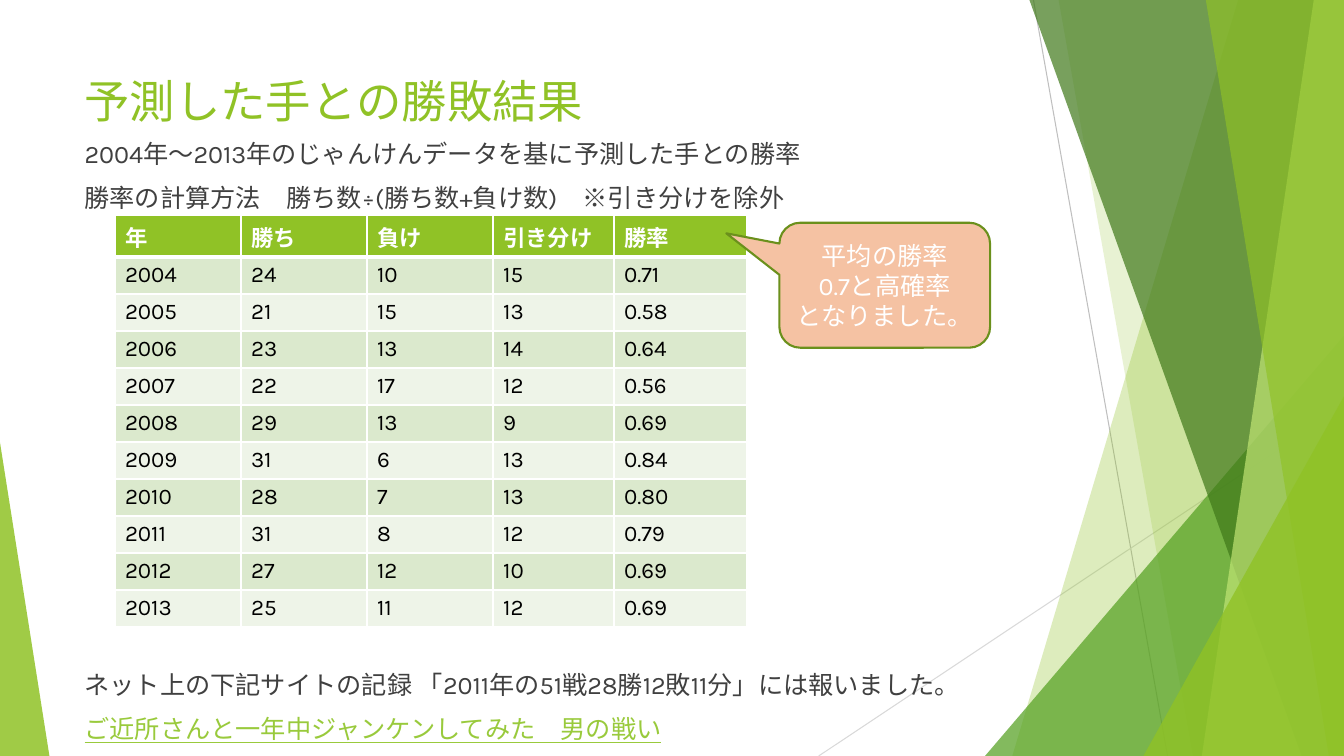
from lxml import etree
from pptx import Presentation
from pptx.dml.color import RGBColor
from pptx.enum import shapes, text
from pptx.oxml import ns
from pptx.util import Inches, Pt

FONT = "Karla"
WIDTH, HEIGHT = 13.33, 7.5
COLORS = {
    "green": "90C226", "leaf": "54A021", "forest": "3F7819", "lime": "C0E474",
    "link": "99CA3C", "outline": "6B901C", "peach": "F5C2A3",
    "band_dark": "DBE9CD", "band_light": "EEF4E8",
    "text": "404040", "black": "000000", "white": "FFFFFF",
    "grey": "BFBFBF", "pale_grey": "D9D9D9",
}
HEADER = ["年", "勝ち", "負け", "引き分け", "勝率"]
RESULTS = [
    (2004, 24, 10, 15, "0.71"),
    (2005, 21, 15, 13, "0.58"),
    (2006, 23, 13, 14, "0.64"),
    (2007, 22, 17, 12, "0.56"),
    (2008, 29, 13, 9, "0.69"),
    (2009, 31, 6, 13, "0.84"),
    (2010, 28, 7, 13, "0.80"),
    (2011, 31, 8, 12, "0.79"),
    (2012, 27, 12, 10, "0.69"),
    (2013, 25, 11, 12, "0.69"),
]


def rgb(name):
    return RGBColor.from_string(COLORS[name])


def inches(*values):
    return [Inches(v) for v in values]


def style_runs(p, size, color, bold=False):
    for r in p.runs:
        r.font.name = FONT
        r.font.size = Pt(size)
        r.font.bold = bold
        r.font.color.rgb = rgb(color)


def fill_facet(sp, color, opacity):
    """Give a background facet a see-through fill, with opacity in percent."""
    sp.shadow.inherit = False
    sp.line.fill.background()
    sp.fill.solid()
    sp.fill.fore_color.rgb = rgb(color)
    clr = sp.fill._xPr.find(".//" + ns.qn("a:srgbClr"))
    etree.SubElement(clr, ns.qn("a:alpha"), val=str(opacity * 1000))


def add_thin_line(s, start, end, color):
    line = s.shapes.add_connector(
        shapes.MSO_CONNECTOR.STRAIGHT, *inches(*start, *end))
    line.line.color.rgb = rgb(color)
    line.line.width = Pt(0.75)
    etree.SubElement(line._element.spPr, ns.qn("a:effectLst"))


def add_band(s, top_x, bottom_x, color, opacity):
    """Fill from a slanted left edge to the right edge of the slide."""
    builder = s.shapes.build_freeform(*inches(top_x, 0))
    corners = [(WIDTH, 0), (WIDTH, HEIGHT), (bottom_x, HEIGHT)]
    builder.add_line_segments([inches(*c) for c in corners], close=True)
    fill_facet(builder.convert_to_shape(), color, opacity)


def add_corner(s, left, top, width, apex, color, opacity):
    """Add a triangle that stands on the bottom edge of the slide."""
    sp = s.shapes.add_shape(shapes.MSO_SHAPE.ISOSCELES_TRIANGLE,
                            *inches(left, top, width, HEIGHT - top))
    sp.adjustments[0] = apex
    fill_facet(sp, color, opacity)


def add_background(s):
    add_thin_line(s, (10.25, 0), (11.58, HEIGHT), "grey")
    add_thin_line(s, (WIDTH, 4.03), (8.12, HEIGHT), "pale_grey")
    add_band(s, 12.28, 10.04, "green", 30)
    add_band(s, 10.5, 11.83, "green", 20)
    add_corner(s, 9.77, 3.33, 3.56, 1, "leaf", 72)
    add_band(s, 10.21, 12.91, "forest", 70)
    add_band(s, 13.03, 11.92, "lime", 70)
    add_band(s, 11.96, 13.18, "green", 65)
    add_corner(s, 11.34, 3.93, 1.99, 1, "green", 80)
    add_corner(s, 0, 4.39, 0.49, 0, "green", 85)


def add_text(s, box, lines, size, color, anchor=text.MSO_ANCHOR.TOP):
    tf = s.shapes.add_textbox(*inches(*box)).text_frame
    tf.word_wrap = True
    tf.vertical_anchor = anchor
    tf.text = "\n".join(lines)
    for p in tf.paragraphs:
        p.space_before = Pt(10)
        style_runs(p, size, color)
    return tf


def set_borders(cell, widths):
    """Draw white borders; widths are points for left, right, top, bottom."""
    props = cell._tc.get_or_add_tcPr()
    for side, width in zip("LRTB", widths):
        ln = etree.SubElement(props, ns.qn("a:ln" + side), w=str(Pt(width)))
        fill = etree.SubElement(ln, ns.qn("a:solidFill"))
        etree.SubElement(fill, ns.qn("a:srgbClr"), val=COLORS["white"])


def add_results_table(s):
    widths = [1.25, 1.25, 1.25, 1.2, 1.31]
    heights = [0.41] + [0.36] * len(RESULTS)
    frame = s.shapes.add_table(len(heights), len(widths),
                               *inches(1.14, 2.14, sum(widths), sum(heights)))
    table = frame.table
    for column, width in zip(table.columns, widths):
        column.width = Inches(width)
    for row, height in zip(table.rows, heights):
        row.height = Inches(height)
    for i, values in enumerate([HEADER] + RESULTS):
        is_header = i == 0
        band = "band_dark" if i % 2 else "band_light"
        borders = (1, 1, 3 if i == 1 else 1, 3 if is_header else 1)
        for cell, value in zip(table.rows[i].cells, values):
            set_borders(cell, borders)
            cell.fill.solid()
            cell.fill.fore_color.rgb = rgb("green" if is_header else band)
            cell.text_frame.text = str(value)
            style_runs(cell.text_frame.paragraphs[0], 16,
                       "white" if is_header else "black", is_header)


def add_callout(s, lines):
    sp = s.shapes.add_shape(shapes.MSO_SHAPE.ROUNDED_RECTANGULAR_CALLOUT,
                            *inches(7.73, 2.21, 2.09, 1.24))
    for i, value in enumerate([-0.752, -0.415, 0.167]):
        sp.adjustments[i] = value
    sp.shadow.inherit = False
    sp.fill.solid()
    sp.fill.fore_color.rgb = rgb("peach")
    sp.line.color.rgb = rgb("outline")
    sp.line.width = Pt(1.5)
    tf = sp.text_frame
    tf.vertical_anchor = text.MSO_ANCHOR.MIDDLE
    tf.text = "\n".join(lines)
    for p in tf.paragraphs:
        p.alignment = text.PP_ALIGN.CENTER
        style_runs(p, 18, "white")


def main():
    prs = Presentation()
    prs.slide_width, prs.slide_height = inches(WIDTH, HEIGHT)
    s = prs.slides.add_slide(prs.slide_layouts[6])
    add_background(s)
    add_text(s, (0.74, 0.67, 9.4, 0.66), ["予測した手との勝敗結果"],
             32.4, "green", text.MSO_ANCHOR.MIDDLE)
    add_text(s, (0.74, 1.32, 10.91, 0.85), [
        "2004年～2013年のじゃんけんデータを基に予測した手との勝率",
        "勝率の計算方法　勝ち数÷(勝ち数+負け数)　※引き分けを除外",
    ], 18, "text")
    closing = add_text(s, (0.74, 6.59, 10.91, 0.85), [
        "ネット上の下記サイトの記録 「2011年の51戦28勝12敗11分」には報いました。",
        "ご近所さんと一年中ジャンケンしてみた　男の戦い",
    ], 18, "text")
    site = closing.paragraphs[1].runs[0]
    site.font.color.rgb = rgb("link")
    site.font.underline = True
    add_results_table(s)
    add_callout(s, ["平均の勝率", "0.7と高確率", "となりました。"])
    prs.save("out.pptx")


if __name__ == "__main__":
    main()
